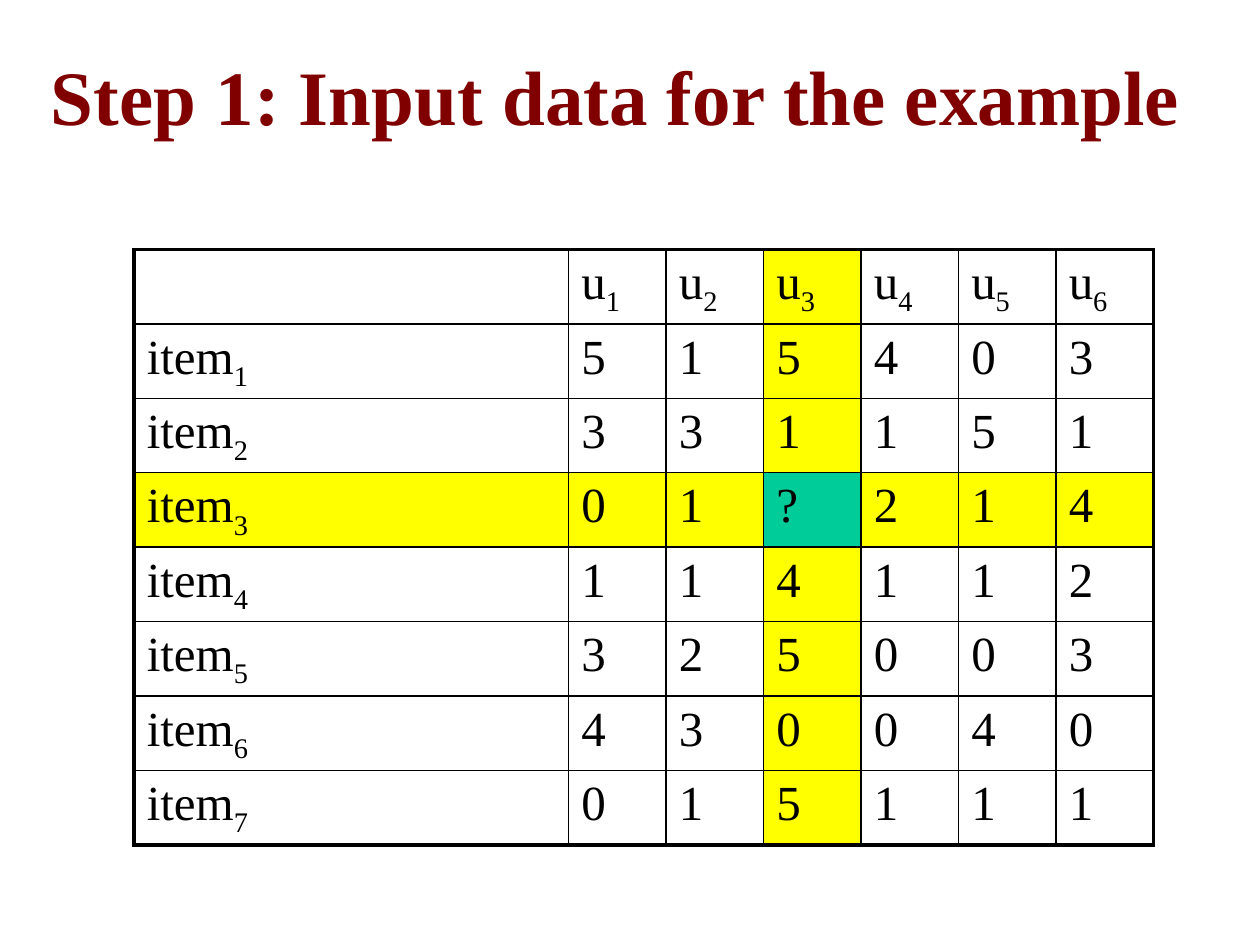
from lxml import etree
from pptx import Presentation
from pptx.dml.color import RGBColor
from pptx.enum import text
from pptx.oxml import ns
from pptx.util import Cm, Pt

HUES = {"title": "800000", "ink": "000000", "band": "FFFF00", "goal": "00CC99"}
FONT = "Times New Roman"
RATES = ["515403", "331151", "01?214", "114112", "325003", "430040", "015111"]
MARK = 3


def add_run(para, words, size, hue, bold=False, sub=False):
    """Append one styled run to a paragraph."""
    run = para.add_run()
    run.text = words
    font = run.font
    font.name, font.size, font.bold = FONT, Pt(size), bold
    font.color.rgb = RGBColor.from_string(HUES[hue])
    if sub:
        font._element.set("baseline", "-25000")


def add_edge(cell, side, width):
    """Draw one border of a cell."""
    props = cell._tc.get_or_add_tcPr()
    line = etree.SubElement(props, ns.qn(f"a:ln{side}"), w=str(Pt(width)))
    fill = etree.SubElement(line, ns.qn("a:solidFill"))
    etree.SubElement(fill, ns.qn("a:srgbClr"), val=HUES["ink"])


def add_title(slide, left, top, width, height):
    """Place the centred heading."""
    frame = slide.shapes.add_textbox(left, top, width, height).text_frame
    frame.word_wrap = True
    frame.vertical_anchor = text.MSO_ANCHOR.MIDDLE
    para = frame.paragraphs[0]
    para.alignment = text.PP_ALIGN.CENTER
    add_run(para, "Step 1: Input data for the example ", 44, "title", bold=True)


def fill_cell(cell, row, col, ends):
    """Write, border and colour one cell of the rating grid."""
    para = cell.text_frame.paragraphs[0]
    if row and col:
        add_run(para, RATES[row - 1][col - 1], 28, "ink")
    elif row or col:
        add_run(para, "item" if row else "u", 28, "ink")
        add_run(para, str(row or col), 28, "ink", sub=True)
    outer = {"L": col == 0, "R": col == ends[1], "T": row == 0, "B": row == ends[0]}
    for side, thick in outer.items():
        add_edge(cell, side, 2.25 if thick else 1)
    hits = (row == MARK) + (col == MARK)
    if hits:
        cell.fill.solid()
        cell.fill.fore_color.rgb = RGBColor.from_string(HUES["goal" if hits == 2 else "band"])
    else:
        cell.fill.background()
    cell.margin_left = cell.margin_right = Cm(0.26)
    cell.margin_top, cell.margin_bottom = Cm(0.13), Cm(0.02)


def add_grid(slide, left, top, width, height):
    """Place the table of ratings by item and user."""
    rows, cols = len(RATES) + 1, len(RATES[0]) + 1
    grid = slide.shapes.add_table(rows, cols, left, top, width, height).table
    grid.first_row = grid.horz_banding = False
    first = Cm(8.76)
    for col, part in enumerate(grid.columns):
        part.width = (width - first) // (cols - 1) if col else first
    for row in range(rows):
        grid.rows[row].height = height // rows
        for col in range(cols):
            fill_cell(grid.cell(row, col), row, col, (rows - 1, cols - 1))


def main():
    """Build and save the slide."""
    deck = Presentation()
    deck.slide_width, deck.slide_height = Cm(25.4), Cm(19.05)
    slide = deck.slides.add_slide(deck.slide_layouts[6])
    add_title(slide, Cm(0.5), Cm(0.32), Cm(24.2), Cm(3.18))
    add_grid(slide, Cm(2.7), Cm(5.03), Cm(20.55), Cm(11.56))
    deck.save("out.pptx")


if __name__ == "__main__":
    main()
